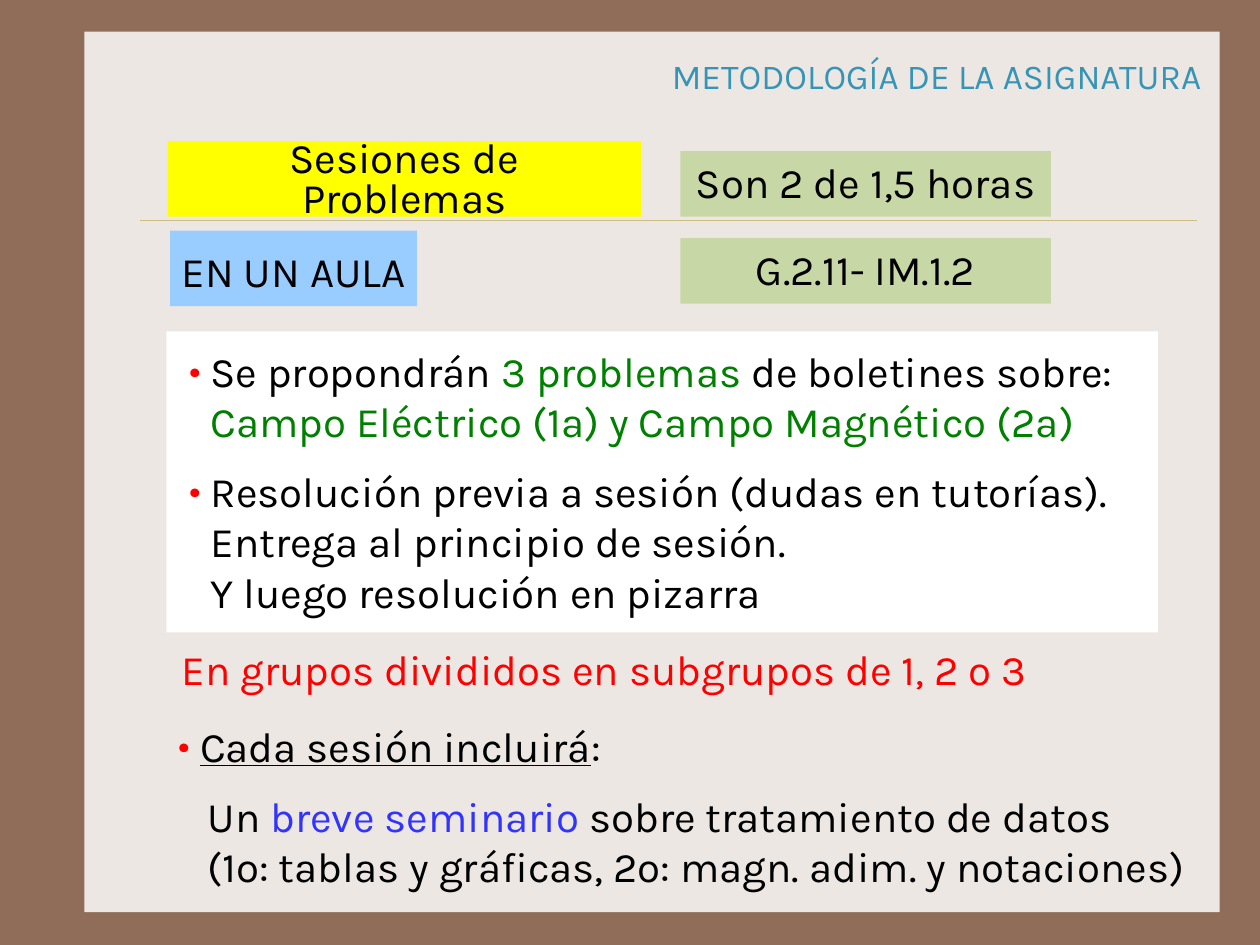
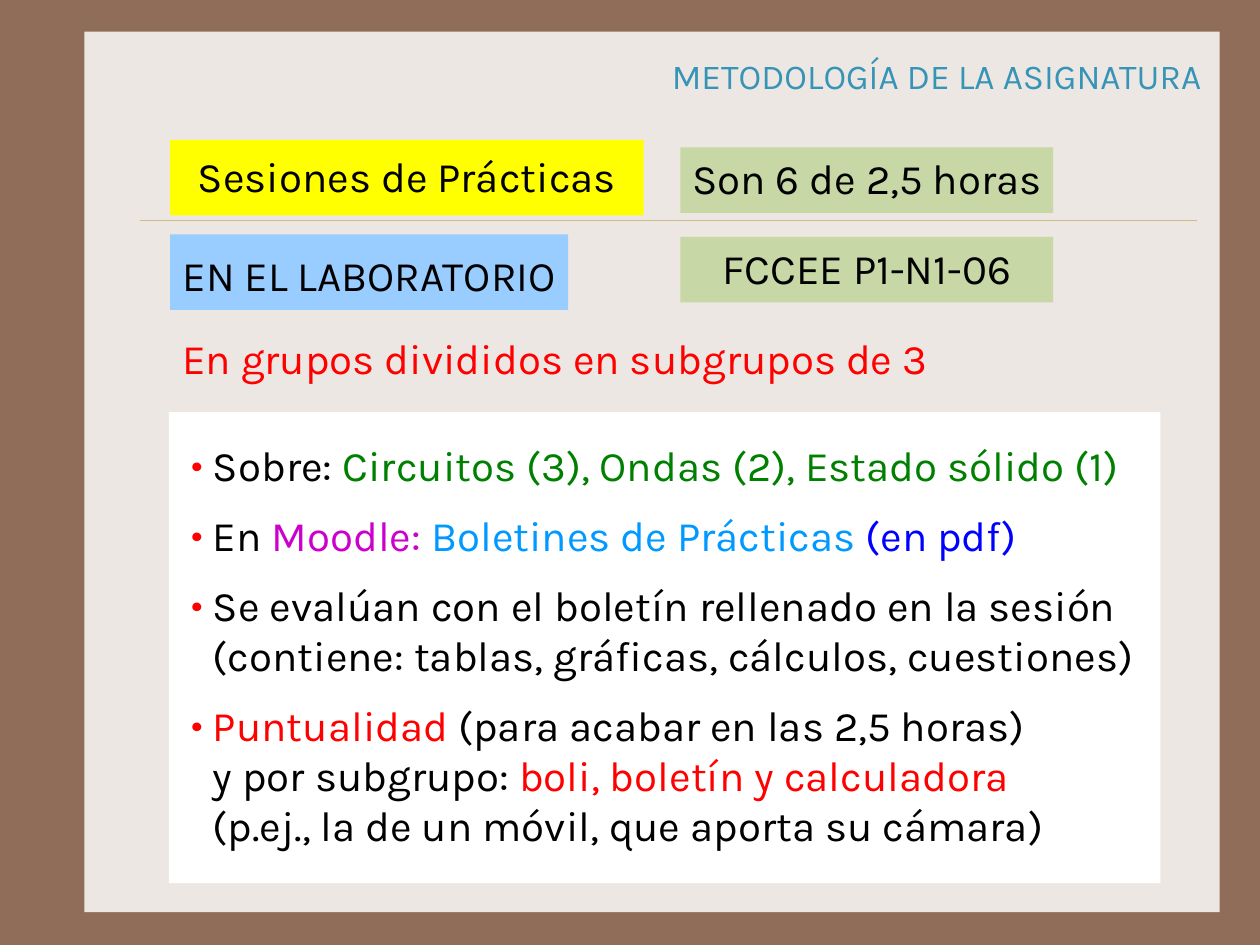
from dataclasses import dataclass
from lxml.etree import SubElement
from pptx import Presentation
from pptx.dml.color import RGBColor
from pptx.enum.shapes import MSO_CONNECTOR as Link, MSO_SHAPE as Shape
from pptx.enum.text import MSO_ANCHOR as Anchor, MSO_AUTO_SIZE as Fit, PP_ALIGN as Align
from pptx.oxml.ns import qn
from pptx.util import Inches, Pt


@dataclass(frozen=True)
class Tag:
    """Look of a filled label."""
    fill: str
    pad: float = 0.08
    lead: float = 0.8
    wrap: bool = True


@dataclass(frozen=True)
class Theme:
    font: str = "Karla"
    size: int = 24
    head: int = 20
    gap: int = 11
    back: str = "906D58"
    page: str = "EDE7E3"
    rule: str = "CBBD83"
    title: str = "3694B6"
    ink: str = "000000"
    white: str = "FFFFFF"
    red: str = "FF0000"
    green: str = "008000"
    blue: str = "0000FF"
    iris: str = "3333FF"
    sky: str = "0099FF"
    pink: str = "CC00CC"
    topic: Tag = Tag("FFFF00", pad=0.12)
    place: Tag = Tag("99CCFF", lead=1.0, wrap=False)
    fact: Tag = Tag("C7D7A5")


LOOK = Theme()


def paint(fill, color):
    fill.solid()
    fill.fore_color.rgb = RGBColor.from_string(color)


def style(par, color, size=LOOK.size):
    par.font.name = LOOK.font
    par.font.size = Pt(size)
    par.font.color.rgb = RGBColor.from_string(color)


def place(shape, box):
    shape.left, shape.top, shape.width, shape.height = map(Inches, box)


def inset(frame, left, top, right, base):
    frame.margin_left, frame.margin_top = Inches(left), Inches(top)
    frame.margin_right, frame.margin_bottom = Inches(right), Inches(base)


def mark(par, dot, hang, left):
    """Give the paragraph a hanging red dot, or only an indent."""
    props = par._p.get_or_add_pPr()
    props.set("marL", str(Inches(left)))
    props.set("indent", str(-Inches(hang) if dot else 0))
    if not dot:
        SubElement(props, qn("a:buNone"))
        return
    tint = SubElement(props, qn("a:buClr"))
    SubElement(tint, qn("a:srgbClr"), val=LOOK.red)
    SubElement(props, qn("a:buFont"), typeface=LOOK.font)
    SubElement(props, qn("a:buChar"), char="•")


class Deck:
    def __init__(self):
        self.show = Presentation()
        self.show.slide_width, self.show.slide_height = Inches(10), Inches(7.5)
        self.slide = None

    def block(self, box, color):
        shape = self.slide.shapes.add_shape(Shape.RECTANGLE, *map(Inches, box))
        shape.shadow.inherit = False
        paint(shape.fill, color)
        shape.line.fill.background()
        return shape

    def frame(self):
        """Draw the page and its rule, then move both to the master."""
        page = self.block((0.67, 0.25, 9.01, 6.99), LOOK.page)
        ends = map(Inches, (1.11, 1.75, 9.5, 1.75))
        rule = self.slide.shapes.add_connector(Link.STRAIGHT, *ends)
        rule.line.width = Pt(0.25)
        rule.line.color.rgb = RGBColor.from_string(LOOK.rule)
        SubElement(rule.element.spPr, qn("a:effectLst"))
        master = self.show.slide_master
        paint(master.background.fill, LOOK.back)
        for spot, part in enumerate((page, rule), 2):
            part.element.xpath(".//p:cNvPr")[0].set("id", str(100 + spot))
            master.shapes.element.insert(spot, part.element)

    def add(self, title):
        self.slide = self.show.slides.add_slide(self.show.slide_layouts[1])
        if len(self.show.slides) == 1:
            self.frame()
        head = self.slide.shapes.title
        place(head, (5.21, 0.38, 4.45, 0.43))
        text = head.text_frame
        text.text = title
        text.auto_size, text.word_wrap = Fit.NONE, False
        text.vertical_anchor = Anchor.TOP
        text.paragraphs[0].alignment = Align.CENTER
        style(text.paragraphs[0], LOOK.title, LOOK.head)

    def label(self, words, box, tag):
        text = self.block(box, tag.fill).text_frame
        text.text = words
        text.auto_size, text.word_wrap = Fit.NONE, tag.wrap
        text.vertical_anchor = Anchor.MIDDLE
        inset(text, tag.pad, tag.pad + 0.04, tag.pad, tag.pad)
        par = text.paragraphs[0]
        par.alignment, par.line_spacing = Align.CENTER, tag.lead
        style(par, LOOK.ink)

    def note(self, words, box):
        text = self.slide.shapes.add_textbox(*map(Inches, box)).text_frame
        text.word_wrap = True
        text.text = words
        text.paragraphs[0].alignment = Align.CENTER
        style(text.paragraphs[0], LOOK.red)

    def fill(self, text, items):
        """Write items, each a dot flag and its (words, color) runs."""
        text.auto_size, text.word_wrap = Fit.NONE, True
        text.vertical_anchor = Anchor.TOP
        for rank, (dot, *runs) in enumerate(items):
            par = text.add_paragraph() if rank else text.paragraphs[0]
            par.alignment = Align.LEFT
            par.space_before = Pt(LOOK.gap if rank else 0)
            mark(par, dot, 0.17, 0.17 if dot else 0.23)
            style(par, LOOK.ink)
            for words, color, *line in runs:
                for turn, piece in enumerate(words.split("\n")):
                    if turn:
                        par.add_line_break()
                    if piece:
                        run = par.add_run()
                        run.text = piece
                        style(run, color)
                        if line:
                            run.font.underline = True

    def panel(self, box, top, items):
        """Put the list in the body placeholder, on white."""
        body = self.slide.placeholders[1]
        place(body, box)
        paint(body.fill, LOOK.white)
        inset(body.text_frame, 0.18, top, 0.05, 0.05)
        self.fill(body.text_frame, items)

    def list(self, box, items):
        text = self.slide.shapes.add_textbox(*map(Inches, box)).text_frame
        inset(text, 0.1, 0.1, 0.1, 0.05)
        self.fill(text, items)


def main():
    deck, ink, title = Deck(), LOOK.ink, "METODOLOGÍA DE LA ASIGNATURA"

    deck.add(title)
    deck.panel((1.32, 2.63, 7.87, 2.39), 0.11, [
        (True, ("Se propondrán ", ink), ("3 problemas ", LOOK.green),
         ("de boletines sobre:\n", ink),
         ("Campo Eléctrico (1ª) y Campo Magnético (2ª)", LOOK.green)),
        (True, ("Resolución previa a sesión (dudas en tutorías).\n"
                "Entrega al principio de sesión.\n"
                "Y luego resolución en pizarra", ink)),
    ])
    deck.label("Sesiones de Problemas", (1.33, 1.12, 3.76, 0.6), LOOK.topic)
    deck.label("EN UN AULA", (1.35, 1.83, 1.96, 0.6), LOOK.place)
    deck.label("Son 2 de 1,5 horas", (5.4, 1.2, 2.94, 0.52), LOOK.fact)
    deck.label("G.2.11- IM.1.2", (5.4, 1.89, 2.94, 0.52), LOOK.fact)
    deck.note("En grupos divididos en subgrupos de 1, 2 o 3", (1.32, 5.06, 6.95, 0.5))
    deck.list((1.32, 5.62, 8.27, 1.52), [
        (True, ("Cada sesión incluirá", ink, True), (":", ink)),
        (False, ("Un ", ink), ("breve seminario ", LOOK.iris),
         ("sobre tratamiento de datos\n"
          "(1º: tablas y gráficas, 2º: magn. adim. y notaciones)", ink)),
    ])

    deck.add(title)
    deck.panel((1.34, 3.27, 7.87, 3.74), 0.22, [
        (True, ("Sobre: ", ink),
         ("Circuitos (3), Ondas (2), Estado sólido (1)", LOOK.green)),
        (True, ("En ", ink), ("Moodle: ", LOOK.pink),
         ("Boletines de Prácticas ", LOOK.sky), ("(en pdf)", LOOK.blue)),
        (True, ("Se evalúan con el boletín rellenado en la sesión\n"
                "(contiene: tablas, gráficas, cálculos, cuestiones)", ink)),
        (True, ("Puntualidad", LOOK.red),
         (" (para acabar en las 2,5 horas)\ny por subgrupo: ", ink),
         ("boli, boletín y calculadora", LOOK.red),
         ("\n(p.ej., la de un móvil, que aporta su cámara)", ink)),
    ])
    deck.label("Sesiones de Prácticas", (1.35, 1.11, 3.76, 0.6), LOOK.topic)
    deck.label("EN EL LABORATORIO", (1.35, 1.86, 3.16, 0.6), LOOK.place)
    deck.label("Son 6 de 2,5 horas", (5.4, 1.17, 2.96, 0.52), LOOK.fact)
    deck.label("FCCEE P1-N1-06", (5.4, 1.88, 2.96, 0.52), LOOK.fact)
    deck.note("En grupos divididos en subgrupos de 3", (1.27, 2.59, 6.27, 0.5))

    deck.show.save("out.pptx")


if __name__ == "__main__":
    main()
